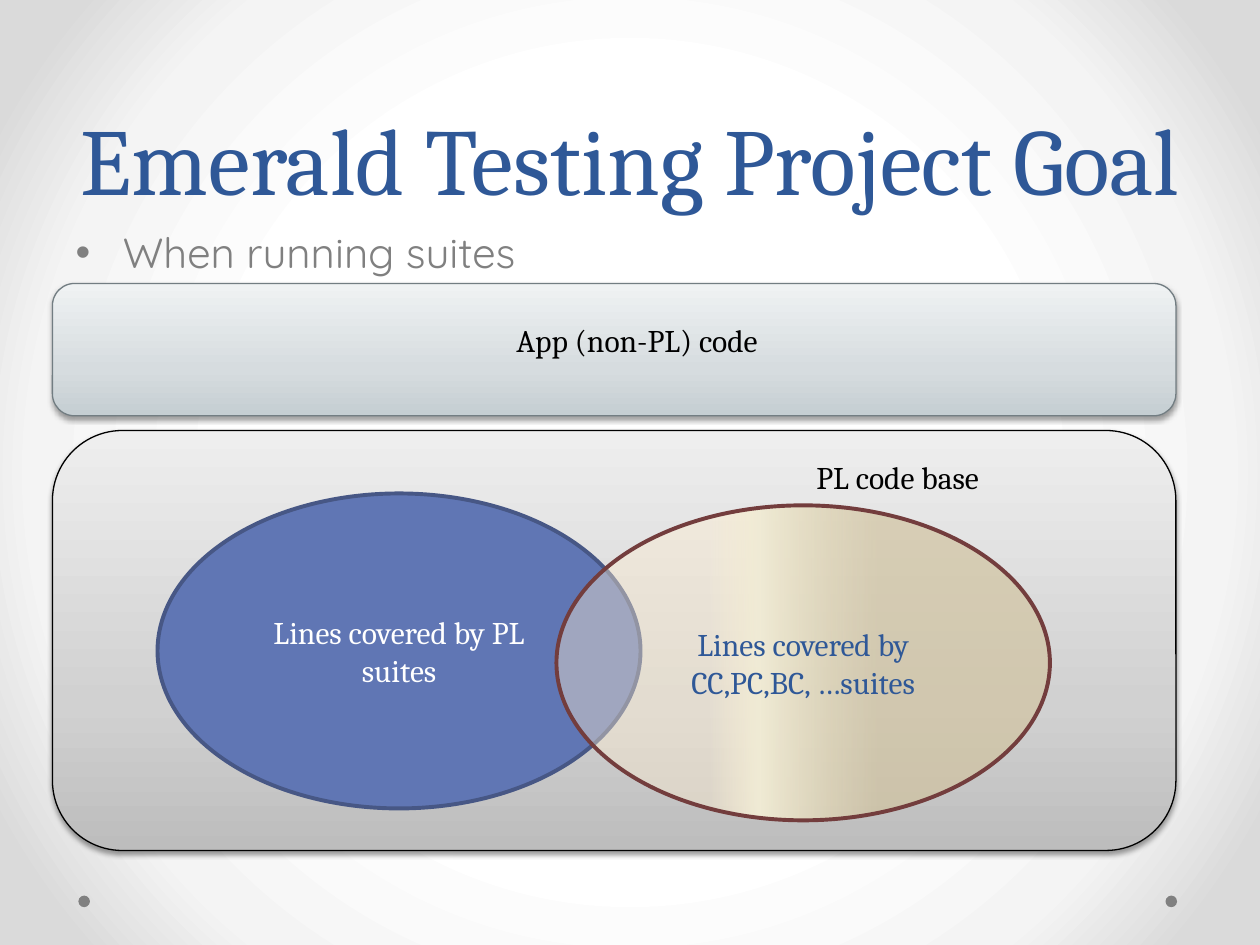
from lxml import etree
from pptx import Presentation
from pptx.dml.color import RGBColor
from pptx.enum import shapes, text
from pptx.oxml import ns
from pptx.util import Pt

BLUE = RGBColor(0x2F, 0x58, 0x97)
GRAY = RGBColor(0x80, 0x80, 0x80)
BLACK = RGBColor(0, 0, 0)
WHITE = RGBColor(255, 255, 255)
FILL = RGBColor(0x60, 0x76, 0xB4)
EDGE = RGBColor(0x47, 0x57, 0x85)
WINE = RGBColor(0x73, 0x3D, 0x3D)
SLATE = RGBColor(0x72, 0x7D, 0x82)
# Gradient stops: position, colour, opacity (all but colour in percent)
GLOW = [(50, WHITE, 100), (76, RGBColor(0xF4, 0xF4, 0xF4), 100),
        (92, RGBColor(0xDA, 0xDA, 0xDA), 100)]
STEEL = [(0, RGBColor(0xC5, 0xCE, 0xD2), 100),
         (35, RGBColor(0xD6, 0xDC, 0xDF), 100),
         (100, RGBColor(0xEF, 0xF2, 0xF3), 100)]
SILVER = [(0, RGBColor(0xBD, 0xBD, 0xBD), 100),
          (35, RGBColor(0xD1, 0xD1, 0xD1), 100),
          (100, RGBColor(0xEE, 0xEE, 0xEE), 100)]
SAND = [(31, RGBColor(0xFF, 0xEF, 0xD1), 40),
        (41, RGBColor(0xF0, 0xEB, 0xD5), 100),
        (65, RGBColor(0xD1, 0xC3, 0x9F), 67)]
SERIF, SANS = "Cambria", "Quicksand"
OVAL = shapes.MSO_SHAPE.OVAL
ROUND = shapes.MSO_SHAPE.ROUNDED_RECTANGLE


def add(node, tag, **attrs):
    """Append an XML child with the given attributes."""
    return etree.SubElement(node, ns.qn(tag),
                            {k: str(v) for k, v in attrs.items()})


def shade(fill, root, stops, angle=None):
    """Set a gradient: linear at an angle, or radial without one."""
    fill.gradient()
    grad = root.find(".//" + ns.qn("a:gradFill"))
    for child in list(grad):
        grad.remove(child)
    row = add(grad, "a:gsLst")
    for pos, color, alpha in stops:
        stop = add(row, "a:gs", pos=pos * 1000)
        tint = add(stop, "a:srgbClr", val=color)
        if alpha < 100:
            add(tint, "a:alpha", val=alpha * 1000)
    if angle is None:
        ring = add(grad, "a:path", path="circle")
        add(ring, "a:fillToRect", l=50000, t=50000, r=50000, b=50000)
    else:
        add(grad, "a:lin", ang=angle * 60000, scaled=0)


def style(para, size, color, face=SERIF, align=None):
    """Format a paragraph."""
    para.alignment = align
    font = para.font
    font.size, font.name = Pt(size), face
    font.color.rgb = color


def form(slide, kind, box, fill, line=None, width=0.75, angle=0):
    """Add a shape with a solid or gradient fill."""
    item = slide.shapes.add_shape(kind, *map(Pt, box))
    item.shadow.inherit = False
    if isinstance(fill, RGBColor):
        item.fill.solid()
        item.fill.fore_color.rgb = fill
    else:
        shade(item.fill, item._element.spPr, fill, angle)
    if line is None:
        item.line.fill.background()
    else:
        item.line.color.rgb = line
        item.line.width = Pt(width)
    return item


def panel(slide, box, stops, line):
    """Add a rounded panel with a soft shadow below."""
    item = form(slide, ROUND, box, stops, line, angle=270)
    node = item._element.spPr.find(ns.qn("a:effectLst"))
    drop = add(node, "a:outerShdw", blurRad=Pt(3.1), dist=Pt(1.6),
               dir=90 * 60000, rotWithShape=0)
    add(add(drop, "a:srgbClr", val=BLACK), "a:alpha", val=38000)


def oval(slide, box, fill, line, words, color):
    """Add a captioned set of the diagram."""
    frame = form(slide, OVAL, box, fill, line, 2.25).text_frame
    frame.word_wrap = True
    frame.vertical_anchor = text.MSO_ANCHOR.MIDDLE
    frame.text = words
    style(frame.paragraphs[0], 18, color, align=text.PP_ALIGN.CENTER)


def label(slide, left, top, words):
    """Add a panel caption."""
    frame = slide.shapes.add_textbox(*map(Pt, (left, top, 204, 29))).text_frame
    frame.word_wrap = True
    frame.auto_size = text.MSO_AUTO_SIZE.SHAPE_TO_FIT_TEXT
    frame.text = words
    style(frame.paragraphs[0], 18, BLACK)


def holder(item, box, words, anchor):
    """Place and fill a placeholder; return its paragraph."""
    item.left, item.top, item.width, item.height = map(Pt, box)
    frame = item.text_frame
    frame.text = words
    frame.word_wrap = True
    frame.auto_size = text.MSO_AUTO_SIZE.NONE
    frame.vertical_anchor = anchor
    return frame.paragraphs[0]


def main():
    deck = Presentation()
    deck.slide_width, deck.slide_height = Pt(720), Pt(540)
    slide = deck.slides.add_slide(deck.slide_layouts[1])
    shade(slide.background.fill, slide._element, GLOW)

    # Title and bullet
    para = holder(slide.shapes.title, (36, 0, 648, 126),
                  "Emerald Testing Project Goal", text.MSO_ANCHOR.BOTTOM)
    para.line_spacing = Pt(58)
    style(para, 54, BLUE, align=text.PP_ALIGN.CENTER)
    para = holder(slide.placeholders[1], (36, 126, 648, 356.4),
                  "When running suites", text.MSO_ANCHOR.TOP)
    props = para._p.get_or_add_pPr()
    props.set("marL", str(Pt(27)))
    props.set("indent", str(Pt(-27)))
    add(props, "a:buFont", typeface="Arial")
    add(props, "a:buChar", char="•")
    para.space_before = Pt(0)
    style(para, 24, GRAY, SANS)

    # Footer dots
    for left in (44.8, 666):
        form(slide, OVAL, (left, 511.8, 6.6, 6.6), GRAY)

    # Code panels
    panel(slide, (30, 162, 642, 75.6), STEEL, SLATE)
    panel(slide, (30, 246, 642, 240), SILVER, BLACK)

    # Overlapping coverage sets
    oval(slide, (90, 282, 276, 180), FILL, EDGE,
         "Lines covered by PL suites", WHITE)
    oval(slide, (318, 288.8, 282, 180), SAND, WINE,
         "Lines covered by CC,PC,BC, …suites", BLUE)

    # Panel captions
    label(slide, 459.4, 258, "PL code base")
    label(slide, 288, 180, "App (non-PL) code")

    deck.save("out.pptx")


if __name__ == "__main__":
    main()
